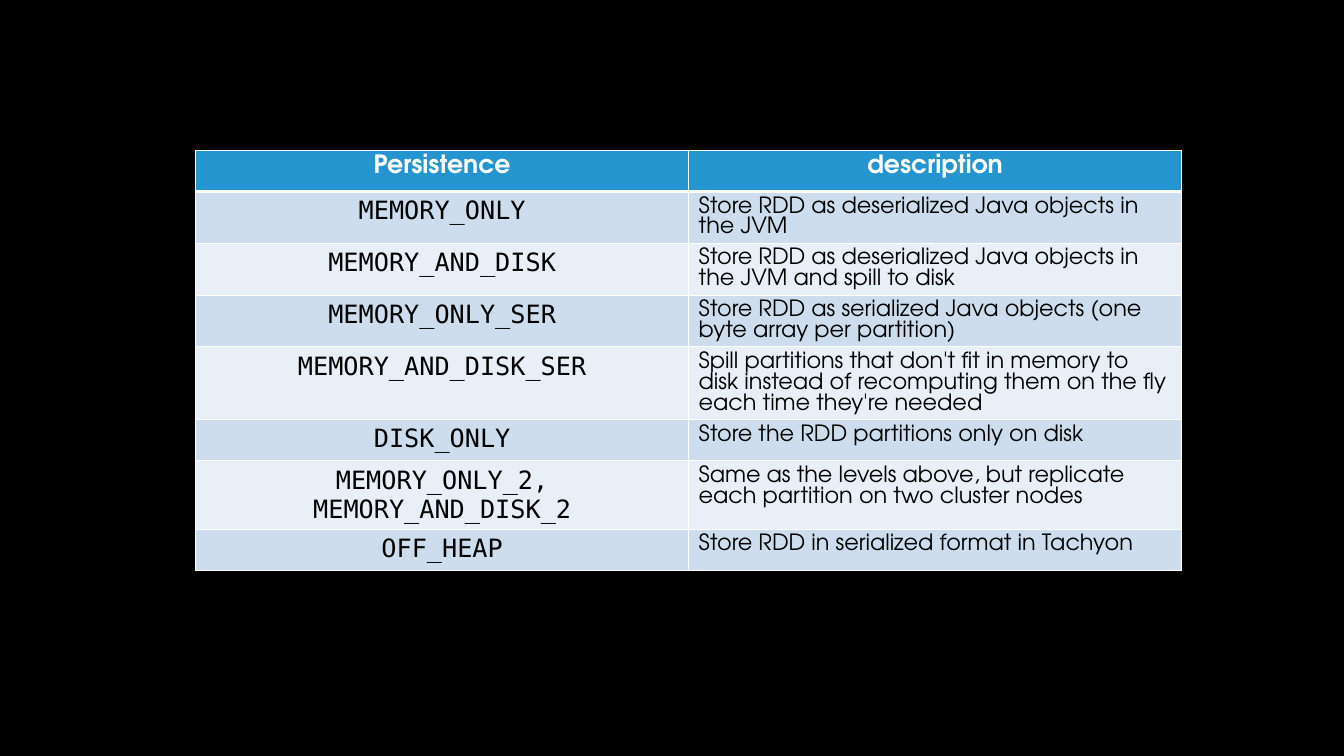
import pptx
import pptx.util
import pptx.dml.color
import pptx.enum.text
import pptx.oxml
import pptx.oxml.ns

HEADS = ("Persistence", "description")
LEVELS = [
    ("MEMORY_ONLY", "Store RDD as deserialized Java objects in the JVM"),
    ("MEMORY_AND_DISK",
     "Store RDD as deserialized Java objects in the JVM and spill to disk"),
    ("MEMORY_ONLY_SER",
     "Store RDD as serialized Java objects (one byte array per partition)"),
    ("MEMORY_AND_DISK_SER",
     "Spill partitions that don't fit in memory to disk instead of "
     "recomputing them on the fly each time they're needed"),
    ("DISK_ONLY", "Store the RDD partitions only on disk"),
    ("MEMORY_ONLY_2, MEMORY_AND_DISK_2",
     "Same as the levels above, but replicate each partition on two "
     "cluster nodes"),
    ("OFF_HEAP", "Store RDD in serialized format in Tachyon"),
]

Inches, Pt = pptx.util.Inches, pptx.util.Pt
Color = pptx.dml.color.RGBColor.from_string
Align = pptx.enum.text.PP_ALIGN

THEME = {
    "back": "000000", "line": "FFFFFF", "head": "2495CF",
    "bands": ("CDDDED", "E8EFF6"), "thin": 1, "thick": 3,
}
SANS, MONO = "TeX Gyre Adventor", "DejaVu Sans Mono"
HEAD = {"name": SANS, "size": Pt(18), "bold": True, "color": "FFFFFF",
        "align": Align.CENTER}
NAME = {"name": MONO, "size": Pt(18), "bold": False, "color": "000000",
        "align": Align.CENTER}
NOTE = {"name": SANS, "size": Pt(16), "bold": False, "color": "000000",
        "align": Align.LEFT}

LEFT, TOP, WIDTH, ROW = 1.94, 1.49, 9.78, 0.41


def draw_edge(cell, side, width):
    props = cell._tc.get_or_add_tcPr()
    props.append(pptx.oxml.parse_xml(
        f'<a:ln{side} {pptx.oxml.ns.nsdecls("a")} w="{Pt(width)}">'
        f'<a:solidFill><a:srgbClr val="{THEME["line"]}"/></a:solidFill>'
        f'</a:ln{side}>'))


def fill_cell(cell, text, style, fill, edges):
    """Edges maps each side (L, R, T, B, in this order) to a width in points."""
    for side, width in edges.items():
        draw_edge(cell, side, width)
    cell.fill.solid()
    cell.fill.fore_color.rgb = Color(fill)
    cell.text = text
    para = cell.text_frame.paragraphs[0]
    para.alignment = style["align"]
    font = para.runs[0].font
    for key in ("name", "size", "bold"):
        setattr(font, key, style[key])
    font.color.rgb = Color(style["color"])


def add_levels(slide):
    rows = [HEADS] + LEVELS
    table = slide.shapes.add_table(
        len(rows), len(HEADS), Inches(LEFT), Inches(TOP),
        Inches(WIDTH), Inches(ROW * len(rows))).table
    for col in table.columns:
        col.width = Inches(WIDTH / len(HEADS))
    for r, texts in enumerate(rows):
        table.rows[r].height = Inches(ROW)
        edges = dict.fromkeys("LRTB", THEME["thin"])
        if r == 0:
            styles, fill = (HEAD, HEAD), THEME["head"]
            edges["B"] = THEME["thick"]
        else:
            styles, fill = (NAME, NOTE), THEME["bands"][(r - 1) % 2]
            if r == 1:
                edges["T"] = THEME["thick"]
        for c, (text, style) in enumerate(zip(texts, styles)):
            fill_cell(table.cell(r, c), text, style, fill, edges)


def main():
    deck = pptx.Presentation()
    deck.slide_width, deck.slide_height = Inches(13.33), Inches(7.5)
    slide = deck.slides.add_slide(deck.slide_layouts[6])
    slide.background.fill.solid()
    slide.background.fill.fore_color.rgb = Color(THEME["back"])
    add_levels(slide)
    deck.save("out.pptx")


if __name__ == "__main__":
    main()
